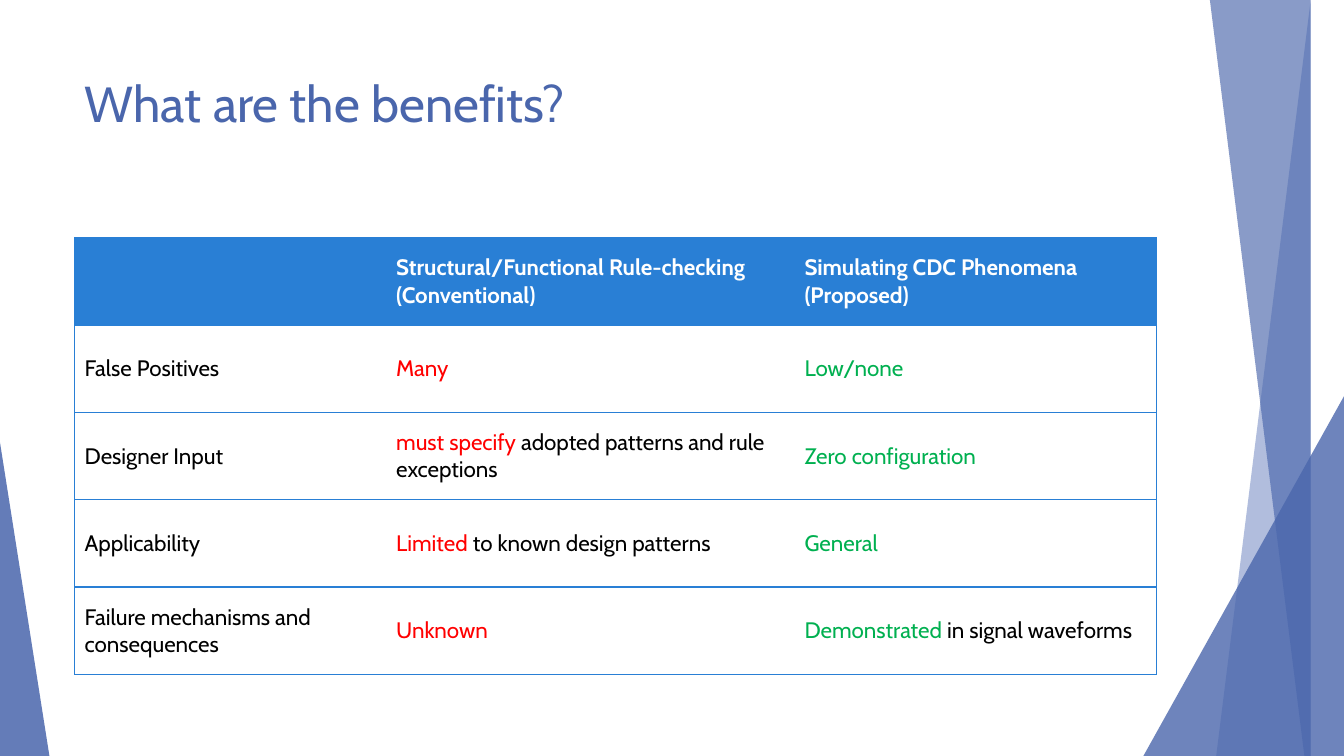
from lxml import etree
from pptx import Presentation
from pptx.dml.color import RGBColor
from pptx.enum.shapes import MSO_SHAPE
from pptx.enum.text import MSO_ANCHOR
from pptx.oxml.ns import qn
from pptx.util import Inches, Pt

TRIANGLE = MSO_SHAPE.ISOSCELES_TRIANGLE
TOP, MIDDLE = MSO_ANCHOR.TOP, MSO_ANCHOR.MIDDLE

FONT = "Cabin"
COLORS = {
    "accent": "4A66AC",
    "pale": "90A2CF",
    "table": "297FD5",
    "white": "FFFFFF",
    "black": "000000",
    "bad": "FF0000",
    "good": "00B050",
}

TITLE = "What are the benefits?"
HEADER = [
    "",
    "Structural/Functional Rule-checking\n(Conventional)",
    "Simulating CDC Phenomena\n(Proposed)",
]
# Each row: criterion, then (highlighted words, plain words) per method
ROWS = [
    ("False Positives", ("Many", ""), ("Low/none", "")),
    ("Designer Input", ("must specify ", "adopted patterns and rule exceptions"),
     ("Zero configuration", "")),
    ("Applicability", ("Limited", " to known design patterns"), ("General", "")),
    ("Failure mechanisms and consequences", ("Unknown", ""),
     ("Demonstrated ", "in signal waveforms")),
]

WIDTH, HEIGHT = 13.33, 7.5
LEFT, CONTENT_WIDTH = 0.74, 10.73
TITLE_TOP, TITLE_HEIGHT = 0.67, 1.44
TABLE_TOP, ROW_HEIGHT = 2.36, 0.866
COLUMN_WIDTHS = [3.09, 4.05, 3.59]

# Bands reach the right edge: top left x, bottom right x, bottom left x
BANDS = [
    ([(13.03, 0), (WIDTH, 0), (WIDTH, HEIGHT), (11.92, HEIGHT)], "pale", 70),
    ([(11.96, 0), (WIDTH, 0), (WIDTH, HEIGHT), (13.18, HEIGHT)], "accent", 65),
]
# Corner triangles stand on the bottom edge: left, width, height, apex, opacity
CORNERS = [(11.34, 1.99, 3.57, 1, 80), (0, 0.49, 3.11, 0, 85)]


def rgb(name):
    return RGBColor.from_string(COLORS[name])


def paint(shape, color, opacity):
    shape.shadow.inherit = False
    shape.line.fill.background()
    shape.fill.solid()
    shape.fill.fore_color.rgb = rgb(color)
    color_element = shape.fill._xPr.find(qn("a:solidFill"))[0]
    etree.SubElement(color_element, qn("a:alpha"), val=str(opacity * 1000))


def add_facets(slide):
    for points, color, opacity in BANDS:
        builder = slide.shapes.build_freeform(*points[0], scale=Inches(1))
        builder.add_line_segments(points[1:], close=True)
        paint(builder.convert_to_shape(), color, opacity)
    for left, width, height, apex, opacity in CORNERS:
        triangle = slide.shapes.add_shape(
            TRIANGLE, Inches(left), Inches(HEIGHT - height), Inches(width), Inches(height))
        triangle.adjustments[0] = apex
        paint(triangle, "accent", opacity)


def add_text(paragraph, text, color, size, bold=False):
    """Append text to the paragraph, with a line break at each newline."""
    for index, line in enumerate(text.split("\n")):
        if index:
            paragraph.add_line_break()
        run = paragraph.add_run()
        run.text = line
        run.font.color.rgb = rgb(color)
        formats = {"name": FONT, "size": Pt(size), "bold": bold}
        for attribute, value in formats.items():
            setattr(run.font, attribute, value)


def set_borders(cell, visible):
    properties = cell._tc.get_or_add_tcPr()
    for index, side in enumerate("LRTB"):
        line = etree.Element(qn(f"a:ln{side}"), w=str(Pt(1)))
        if side in visible:
            fill = etree.SubElement(line, qn("a:solidFill"))
            etree.SubElement(fill, qn("a:srgbClr"), val=COLORS["table"])
        else:
            etree.SubElement(line, qn("a:noFill"))
        properties.insert(index, line)


def cell_runs(row, column):
    """Return the (text, color) pairs of one table cell."""
    if row == 0:
        return [(HEADER[column], "white")]
    content = ROWS[row - 1][column]
    if column == 0:
        return [(content, "black")]
    highlight, plain = content
    return [(highlight, "bad" if column == 1 else "good"), (plain, "black")]


def add_comparison(slide):
    row_count, column_count = len(ROWS) + 1, len(HEADER)
    table = slide.shapes.add_table(
        row_count, column_count, Inches(LEFT), Inches(TABLE_TOP),
        Inches(CONTENT_WIDTH), Inches(ROW_HEIGHT * row_count)).table
    for column, width in zip(table.columns, COLUMN_WIDTHS):
        column.width = Inches(width)
    for row in range(row_count):
        table.rows[row].height = Inches(ROW_HEIGHT)
        for column in range(column_count):
            cell = table.cell(row, column)
            cell.vertical_anchor = MIDDLE
            if row == 0:
                cell.fill.solid()
                cell.fill.fore_color.rgb = rgb("table")
            else:
                cell.fill.background()
            sides = "TB" + {0: "L", column_count - 1: "R"}.get(column, "")
            set_borders(cell, sides)
            for text, color in cell_runs(row, column):
                if text:
                    add_text(cell.text_frame.paragraphs[0], text, color, 16, row == 0)


def add_title(slide):
    title = slide.shapes.title
    box = {"left": LEFT, "top": TITLE_TOP, "width": CONTENT_WIDTH, "height": TITLE_HEIGHT}
    for attribute, value in box.items():
        setattr(title, attribute, Inches(value))
    title.text_frame.vertical_anchor = TOP
    paragraph = title.text_frame.paragraphs[0]
    paragraph.alignment = PP_LEFT
    add_text(paragraph, TITLE, "accent", 36)


def main():
    presentation = Presentation()
    presentation.slide_width = Inches(WIDTH)
    presentation.slide_height = Inches(HEIGHT)
    slide = presentation.slides.add_slide(presentation.slide_layouts.get_by_name("Title Only"))
    add_facets(slide)
    add_title(slide)
    add_comparison(slide)
    presentation.save("out.pptx")


from pptx.enum.text import PP_ALIGN
PP_LEFT = PP_ALIGN.LEFT

if __name__ == "__main__":
    main()
